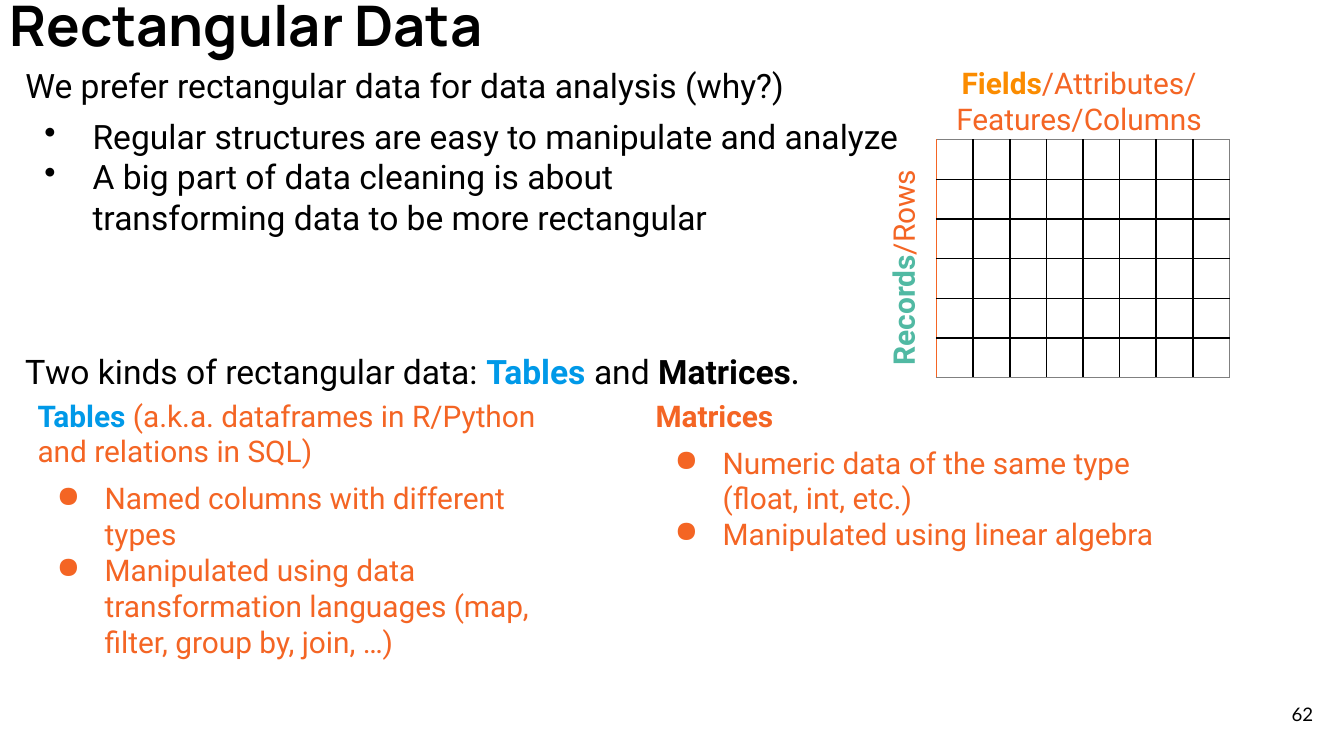
"""Build the slide on rectangular data, tables and matrices."""
from copy import deepcopy

from lxml import etree
from pptx import Presentation
from pptx.dml.color import RGBColor
from pptx.enum.text import MSO_ANCHOR, MSO_AUTO_SIZE, PP_ALIGN
from pptx.oxml.ns import qn
from pptx.util import Cm, Pt

LEFT, CENTER, RIGHT = PP_ALIGN.LEFT, PP_ALIGN.CENTER, PP_ALIGN.RIGHT
TOP, MIDDLE = MSO_ANCHOR.TOP, MSO_ANCHOR.MIDDLE
GROW, FIXED = MSO_AUTO_SIZE.SHAPE_TO_FIT_TEXT, MSO_AUTO_SIZE.NONE
BLACK, ORANGE, BLUE = "000000", "F46524", "0099E8"
AMBER, GREEN, GRAY = "FB8C00", "51B9A3", "808080"
TIGHT, ROOMY = (0.18, 0.1), (0.25, 0.25)
ROWS, COLUMNS = 6, 8
GRID_LEFT, GRID_TOP, GRID_WIDTH, GRID_HEIGHT = 17.7, 2.64, 5.54, 4.5


def plain(text, color=BLACK, font="Roboto"):
    return text, color, False, font


def bold(text, color=BLACK, font="Roboto"):
    return text, color, True, font


def line(*spans, before=0, bullet=None):
    return {"spans": spans, "before": before, "bullet": bullet}


BOXES = [
    dict(at=(0, 0, 23.67, 1.09), size=30, anchor=MIDDLE, spacing=0.9,
         lines=[line(bold("Rectangular Data", font="Manrope"))]),
    dict(at=(0.3, 1.12, 17.07, 12.55), size=18, lines=[
        line(plain("We prefer rectangular data for data analysis (why?)")),
        line(plain("Regular structures are easy to manipulate and analyze"), before=6, bullet="•"),
        line(plain("A big part of data cleaning is about \ntransforming data to be more rectangular"),
             bullet="•"),
        line(plain("T", font="Lato"), plain("wo kinds of rectangular data: "),
             bold("Tables ", BLUE), plain("and "), bold("Matrices"),
             plain(".", font="Lato"), before=61)]),
    dict(at=(14.71, 4.57, 4.8, 0.97), size=16, align=CENTER, rotation=270,
         lines=[line(bold("Records", GREEN), plain("/Rows", ORANGE))]),
    dict(at=(17.4, 1.12, 5.99, 1.73), size=16, align=CENTER,
         lines=[line(bold("Fields", AMBER), plain("/Attributes/\nFeatures/Columns", ORANGE))]),
    dict(at=(23.55, 12.95, 1.52, 1.09), size=10, align=RIGHT, anchor=MIDDLE, insets=ROOMY,
         lines=[line(plain("62", font="Lato"))]),
    dict(at=(0.46, 7.26, 10.62, 5.51), size=16, insets=ROOMY, fit=GROW, lines=[
        line(bold("Tables", BLUE),
             plain(" (a.k.a. dataframes in R/Python and relations in SQL)", ORANGE)),
        line(plain("Named columns with different types", ORANGE), before=6, bullet="●"),
        line(plain("Manipulated using data transformation languages (map, filter, group by, join, …)",
                   ORANGE), bullet="●")]),
    dict(at=(12.14, 7.26, 10.62, 3.45), size=16, insets=ROOMY, fit=GROW, lines=[
        line(bold("Matrices", ORANGE)),
        line(plain("Numeric data of the same type (float, int, etc.)", ORANGE),
             before=6, bullet="●"),
        line(plain("Manipulated using linear algebra", ORANGE), bullet="●")]),
]


def rgb(value):
    return RGBColor.from_string(value)


def add_bullet(paragraph, character, color):
    properties = paragraph._p.get_or_add_pPr()
    properties.set("marL", str(Cm(1.27)))
    properties.set("indent", str(-Cm(0.91)))
    bullet_color = etree.SubElement(properties, qn("a:buClr"))
    etree.SubElement(bullet_color, qn("a:srgbClr"), val=color)
    etree.SubElement(properties, qn("a:buChar"), char=character)


def add_span(paragraph, size, text, color, is_bold, font):
    for index, part in enumerate(text.split("\n")):
        if index:
            paragraph.add_line_break()
            paragraph._p[-1].append(deepcopy(span._r.rPr))
        span = paragraph.add_run()
        span.text = part
        span.font.size, span.font.bold, span.font.name = Pt(size), is_bold, font
        span.font.color.rgb = rgb(color)


def add_box(page, at, size, lines, align=LEFT, anchor=TOP, insets=TIGHT,
            rotation=0, spacing=None, fit=FIXED):
    box = page.shapes.add_textbox(*map(Cm, at))
    box.rotation = rotation
    frame = box.text_frame
    frame.word_wrap, frame.auto_size, frame.vertical_anchor = True, fit, anchor
    frame.margin_left = frame.margin_right = Cm(insets[0])
    frame.margin_top = frame.margin_bottom = Cm(insets[1])
    for index, content in enumerate(lines):
        paragraph = frame.add_paragraph() if index else frame.paragraphs[0]
        paragraph.alignment, paragraph.line_spacing = align, spacing
        paragraph.space_before = Pt(content["before"])
        if content["bullet"]:
            add_bullet(paragraph, content["bullet"], content["spans"][0][1])
        for span in content["spans"]:
            add_span(paragraph, size, *span)


def set_border(cell, side, color, width):
    border = etree.SubElement(cell._tc.get_or_add_tcPr(), qn("a:" + side), w=str(Pt(width)))
    fill = etree.SubElement(border, qn("a:solidFill"))
    etree.SubElement(fill, qn("a:srgbClr"), val=color)


def add_grid(page):
    table = page.shapes.add_table(ROWS, COLUMNS, Cm(GRID_LEFT), Cm(GRID_TOP),
                                  Cm(GRID_WIDTH), Cm(GRID_HEIGHT)).table
    table.first_row = table.horz_banding = False
    for row in range(ROWS):
        for column in range(COLUMNS):
            cell = table.cell(row, column)
            cell.margin_left = cell.margin_right = cell.margin_top = cell.margin_bottom = 0
            cell.text_frame.paragraphs[0]._p.get_or_add_endParaRPr().set("sz", "600")
            inner, outer = (BLACK, 1), (GRAY, 0.5)
            set_border(cell, "lnL", *(inner if column else (ORANGE, 1)))
            set_border(cell, "lnR", *(inner if column < COLUMNS - 1 else outer))
            set_border(cell, "lnT", *(inner if row else outer))
            set_border(cell, "lnB", *(inner if row < ROWS - 1 else outer))
            cell.fill.background()


def main():
    deck = Presentation()
    deck.slide_width, deck.slide_height = Cm(25.4), Cm(14.29)
    page = deck.slides.add_slide(deck.slide_layouts[6])
    add_grid(page)
    for box in BOXES:
        add_box(page, **box)
    deck.save("out.pptx")


if __name__ == "__main__":
    main()
